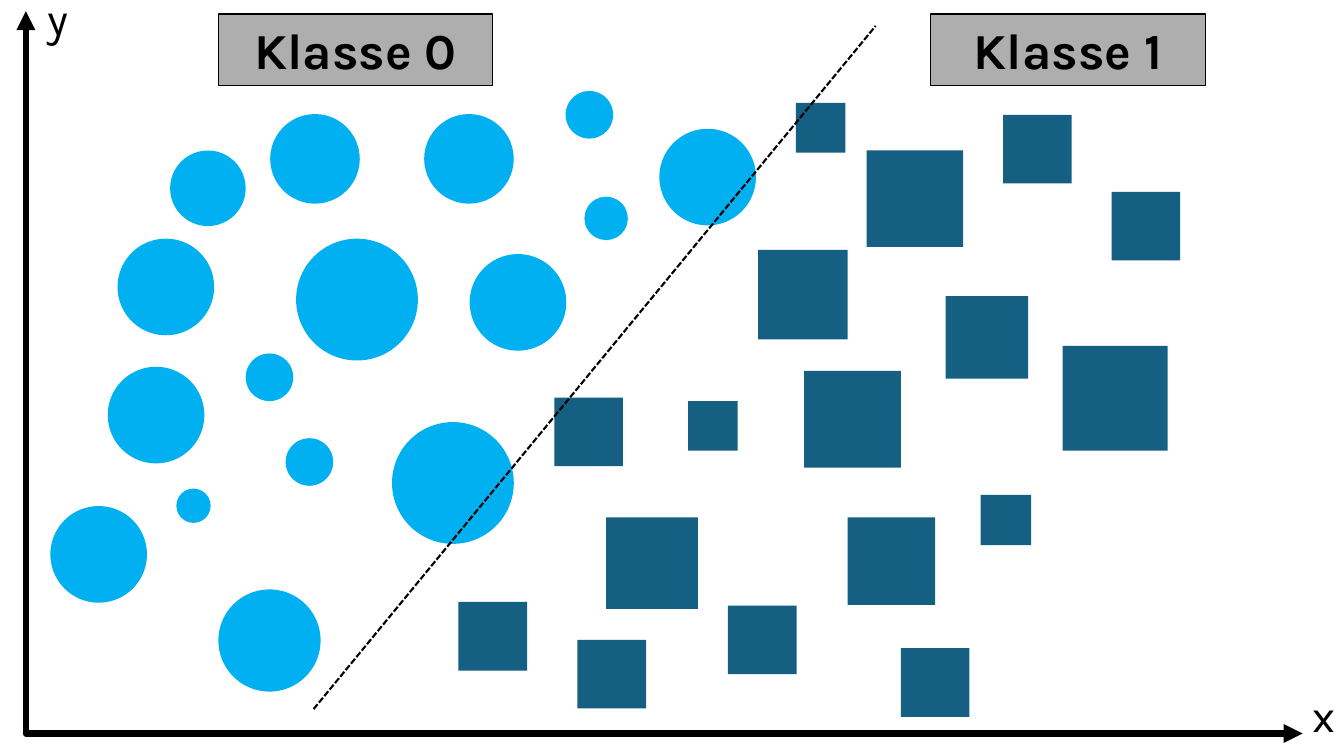
"""Draw a scatter of two classes split by a dashed line."""
from pptx import Presentation
from pptx.dml.color import RGBColor
from pptx.enum.dml import MSO_LINE as Dash
from pptx.enum.shapes import MSO_CONNECTOR as Link, MSO_SHAPE as Form
from pptx.enum.text import MSO_ANCHOR as Anchor, PP_ALIGN as Align
from pptx.oxml.ns import qn
from pptx.util import Pt
from lxml.etree import SubElement

BLACK, GREY, SKY, TEAL = "000000", "AEAEAE", "00B0F0", "156082"

DOTS = [
    (335.5, 181.5, 69), (303, 81.5, 64), (156, 421, 73), (417.5, 140.5, 31),
    (280, 301.5, 87), (211.5, 170.5, 87), (77, 262, 69), (121.5, 107.5, 54),
    (193, 81.5, 64), (36, 361.5, 69), (126, 349, 24.5), (84, 170.5, 69),
    (175.5, 252.5, 34), (471, 92, 69), (204, 313, 34), (404, 65, 34),
]
BOXES = [
    (619, 107.5, 69), (541.5, 178.5, 64), (491.5, 286.5, 35.5),
    (574.5, 265, 69), (675.5, 211.5, 59), (433, 369.5, 65.5),
    (605.5, 369.5, 62.5), (716.5, 82, 49), (700.5, 353.5, 36),
    (794, 137, 49), (520, 432.5, 49), (396, 284, 49), (568.5, 73.5, 35.5),
    (643.5, 463, 49), (327.5, 430, 49), (759, 247, 75), (412.5, 457, 49),
]


def tint(code):
    return RGBColor.from_string(code)


class Plot:
    """Hold the font and the slide, and draw each kind of element."""

    def __init__(self, slide, font):
        self.shapes, self.font = slide.shapes, font

    def letter(self, frame, text, size, bold=False):
        para = frame.paragraphs[0]
        para.text = text
        para.font.name, para.font.size = self.font, Pt(size)
        para.font.bold = bold
        para.font.color.rgb = tint(BLACK)
        return para

    def mark(self, form, left, top, wide, high, fill):
        shape = self.shapes.add_shape(form, Pt(left), Pt(top), Pt(wide), Pt(high))
        shape.shadow.inherit = False
        shape.fill.solid()
        shape.fill.fore_color.rgb = tint(fill)
        shape.line.fill.background()
        return shape

    def label(self, left, text):
        shape = self.mark(Form.RECTANGLE, left, 10, 196, 51, GREY)
        shape.line.color.rgb = tint(BLACK)
        shape.line.width = Pt(0.75)
        shape.text_frame.vertical_anchor = Anchor.MIDDLE
        self.letter(shape.text_frame, text, 36, True).alignment = Align.CENTER

    def name(self, left, top, text):
        box = self.shapes.add_textbox(Pt(left), Pt(top), Pt(18.5), Pt(46))
        box.text_frame.word_wrap = True
        self.letter(box.text_frame, text, 32)

    def link(self, kind, start, end, width):
        line = self.shapes.add_connector(kind, *map(Pt, start + end))
        line.line.color.rgb = tint(BLACK)
        line.line.width = Pt(width)
        SubElement(line._element.spPr, qn("a:effectLst"))
        return line

    def split(self, start, end):
        self.link(Link.STRAIGHT, start, end, 1.5).line.dash_style = Dash.SQUARE_DOT

    def axes(self, start, end):
        props = self.link(Link.ELBOW, start, end, 4.5)._element.spPr
        bend = props.find(qn("a:prstGeom")).find(qn("a:avLst"))
        SubElement(bend, qn("a:gd"), name="adj1", fmla="val 100000")
        for tip in ("a:headEnd", "a:tailEnd"):
            SubElement(props.find(qn("a:ln")), qn(tip), type="triangle")


def main():
    deck = Presentation()
    deck.slide_width, deck.slide_height = Pt(960), Pt(540)
    plot = Plot(deck.slides.add_slide(deck.slide_layouts[6]), "Karla")
    for form, fill, marks in ((Form.OVAL, SKY, DOTS), (Form.RECTANGLE, TEAL, BOXES)):
        for left, top, size in marks:
            plot.mark(form, left, top, size, size, fill)
    plot.split((224, 506.5), (625.5, 18.5))
    plot.label(156, "Klasse 0")
    plot.label(665, "Klasse 1")
    plot.axes((930.5, 524), (18.5, 8))
    plot.name(26.5, -10, "y")
    plot.name(930.5, 487.5, "x")
    deck.save("out.pptx")


if __name__ == "__main__":
    main()
